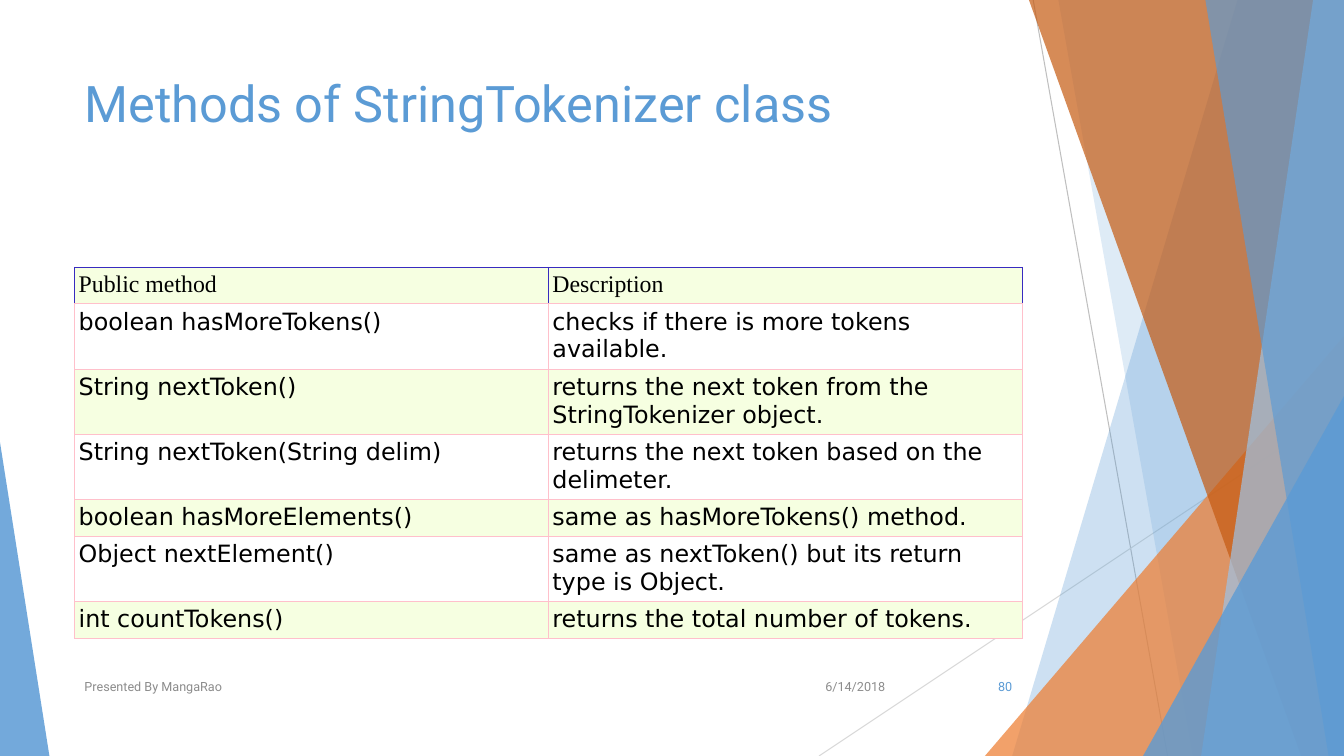
"""Build the slide on StringTokenizer methods with its faceted backdrop."""
import dataclasses

import lxml.etree
import pptx
import pptx.dml.color
import pptx.enum.shapes
import pptx.enum.text
import pptx.oxml.ns
import pptx.util

Pt = pptx.util.Pt
qn = pptx.oxml.ns.qn
ALIGN = pptx.enum.text.PP_ALIGN
ANCHOR = pptx.enum.text.MSO_ANCHOR


@dataclasses.dataclass(frozen=True)
class Theme:
    blue: str = "5B9BD5"
    pale_blue: str = "9DC3E6"
    orange: str = "ED7D31"
    rust: str = "C55A11"
    dark_rule: str = "BFBFBF"
    light_rule: str = "D9D9D9"
    footer: str = "8C8C8C"
    ink: str = "000000"
    band: str = "F6FFE1"
    plain: str = "FFFFFF"
    header_border: str = "382BC0"
    border: str = "FFC0CB"
    sans: str = "Roboto"
    serif: str = "Times New Roman"
    table_font: str = "DejaVu Sans"
    title_size: float = 36
    table_size: float = 17
    footer_size: float = 9


THEME = Theme()
WIDTH, HEIGHT = 960, 540
MARGIN, CONTENT_WIDTH = 53.3, 676.8
METHODS = [
    ("Public method", "Description", 25.8),
    ("boolean hasMoreTokens()", "checks if there is more tokens available.", 46.2),
    ("String nextToken()", "returns the next token from the StringTokenizer object.", 46.2),
    ("String nextToken(String delim)", "returns the next token based on the delimeter.", 46.2),
    ("boolean hasMoreElements()", "same as hasMoreTokens() method.", 25.8),
    ("Object nextElement()", "same as nextToken() but its return type is Object.", 46.2),
    ("int countTokens()", "returns the total number of tokens.", 25.8),
]


def rgb(color):
    return pptx.dml.color.RGBColor.from_string(color)


def write(frame, text, *, size, color, font=THEME.sans, align=ALIGN.LEFT):
    frame.word_wrap = True
    paragraph = frame.paragraphs[0]
    paragraph.alignment = align
    run = paragraph.add_run()
    run.text = text
    run.font.size = Pt(size)
    run.font.name = font
    run.font.color.rgb = rgb(color)


def add_label(slide, text, left, top, width, height, *, anchor=ANCHOR.MIDDLE, **text_format):
    frame = slide.shapes.add_textbox(Pt(left), Pt(top), Pt(width), Pt(height)).text_frame
    frame.vertical_anchor = anchor
    write(frame, text, **text_format)


def add_rule(slide, start, end, color):
    rule = slide.shapes.add_connector(
        pptx.enum.shapes.MSO_CONNECTOR.STRAIGHT, *map(Pt, start + end))
    rule.line.color.rgb = rgb(color)
    rule.line.width = Pt(0.75)
    lxml.etree.SubElement(rule._element.spPr, qn("a:effectLst"))


def tint(shape, color, opacity):
    shape.shadow.inherit = False
    shape.line.fill.background()
    shape.fill.solid()
    shape.fill.fore_color.rgb = rgb(color)
    swatch = shape._element.spPr.find(qn("a:solidFill"))[0]
    lxml.etree.SubElement(swatch, qn("a:alpha"), val=str(opacity * 1000))


def add_facet(slide, top_x, bottom_x, color, opacity):
    outline = slide.shapes.build_freeform(Pt(top_x), 0)
    corners = [(WIDTH, 0), (WIDTH, HEIGHT), (bottom_x, HEIGHT)]
    outline.add_line_segments([(Pt(x), Pt(y)) for x, y in corners], close=True)
    tint(outline.convert_to_shape(), color, opacity)


def add_corner(slide, left, top, width, apex, color, opacity):
    corner = slide.shapes.add_shape(
        pptx.enum.shapes.MSO_SHAPE.ISOSCELES_TRIANGLE,
        Pt(left), Pt(top), Pt(width), Pt(HEIGHT - top))
    corner.adjustments[0] = apex
    tint(corner, color, opacity)


def add_backdrop(slide):
    add_rule(slide, (738, 0), (834, HEIGHT), THEME.dark_rule)
    add_rule(slide, (WIDTH, 290), (585, HEIGHT), THEME.light_rule)
    add_facet(slide, 884, 723, THEME.blue, 30)
    add_facet(slide, 756, 852, THEME.blue, 20)
    add_corner(slide, 703.5, 240, 256.5, 1, THEME.orange, 72)
    add_facet(slide, 735, 929.5, THEME.rust, 70)
    add_facet(slide, 938, 858, THEME.pale_blue, 70)
    add_facet(slide, 861, 949, THEME.blue, 65)
    add_corner(slide, 816.5, 283, 143.5, 1, THEME.blue, 80)
    add_corner(slide, 0, 316, 35.3, 0, THEME.blue, 85)


def set_borders(cell, color, bottom_color):
    properties = cell._tc.get_or_add_tcPr()
    sides = {"lnL": color, "lnR": color, "lnT": color, "lnB": bottom_color}
    for side, side_color in sides.items():
        edge = lxml.etree.SubElement(properties, qn(f"a:{side}"), w=str(Pt(0.6)))
        fill = lxml.etree.SubElement(edge, qn("a:solidFill"))
        lxml.etree.SubElement(fill, qn("a:srgbClr"), val=side_color)


def add_method_table(slide):
    total = sum(height for *_, height in METHODS)
    table = slide.shapes.add_table(
        len(METHODS), 2, Pt(MARGIN), Pt(190.8), Pt(CONTENT_WIDTH), Pt(total)).table
    table.first_row = table.horz_banding = False
    for index, (*texts, height) in enumerate(METHODS):
        table.rows[index].height = Pt(height)
        is_header = index == 0
        for column, text in enumerate(texts):
            cell = table.cell(index, column)
            set_borders(cell, THEME.header_border if is_header else THEME.border, THEME.border)
            cell.margin_left = cell.margin_right = Pt(2.9)
            cell.margin_top = cell.margin_bottom = Pt(2.9)
            cell.fill.solid()
            cell.fill.fore_color.rgb = rgb(THEME.plain if index % 2 else THEME.band)
            write(cell.text_frame, text, size=THEME.table_size, color=THEME.ink,
                  font=THEME.serif if is_header else THEME.table_font)


def add_footer(slide):
    for text, left, width, align, color in [
        ("6/14/2018", 567.4, 72, ALIGN.RIGHT, THEME.footer),
        ("Presented By MangaRao", MARGIN, 496, ALIGN.LEFT, THEME.footer),
        ("80", 676.3, 53.8, ALIGN.RIGHT, THEME.blue),
    ]:
        add_label(slide, text, left, 475.8, width, 28.8,
                  size=THEME.footer_size, color=color, align=align)


def main():
    deck = pptx.Presentation()
    deck.slide_width, deck.slide_height = Pt(WIDTH), Pt(HEIGHT)
    slide = deck.slides.add_slide(deck.slide_layouts[6])
    add_backdrop(slide)
    add_label(slide, "Methods of StringTokenizer class", MARGIN, 48, CONTENT_WIDTH, 104,
              anchor=ANCHOR.TOP, size=THEME.title_size, color=THEME.blue)
    add_method_table(slide)
    add_footer(slide)
    deck.save("out.pptx")


if __name__ == "__main__":
    main()
